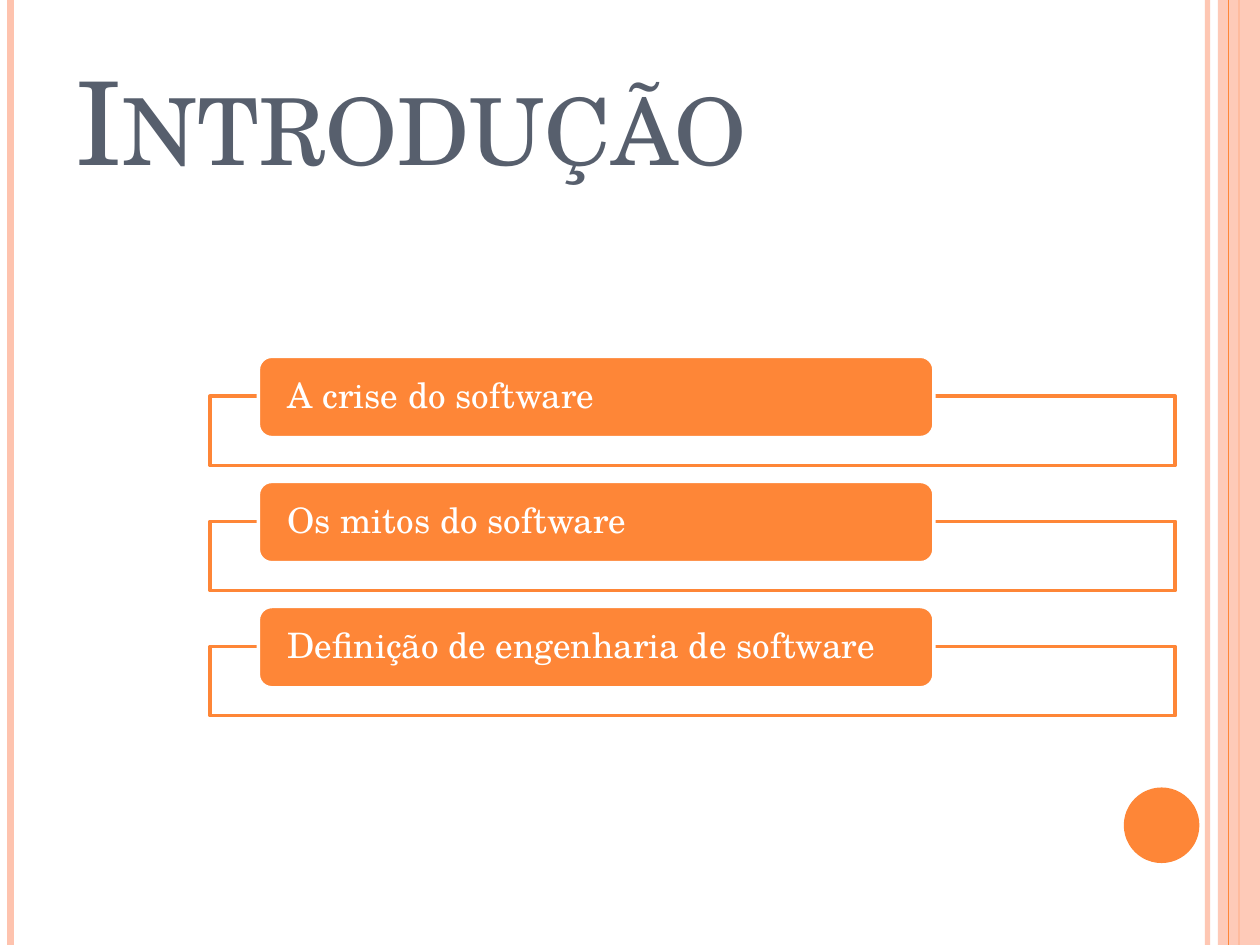
import pptx
import pptx.dml.color
import pptx.enum.shapes
import pptx.enum.text
import pptx.oxml.ns
import pptx.util
from lxml import etree

Pt = pptx.util.Pt
RGBColor = pptx.dml.color.RGBColor
Shape = pptx.enum.shapes.MSO_SHAPE
Anchor = pptx.enum.text.MSO_ANCHOR
qn = pptx.oxml.ns.qn

ORANGE = RGBColor(0xFE, 0x86, 0x37)
PEACH = RGBColor(0xFE, 0xC3, 0xAE)
SLATE = RGBColor(0x57, 0x5F, 0x6D)
WHITE = RGBColor(0xFF, 0xFF, 0xFF)
FONT = "TeX Gyre Schola"
WIDTH, HEIGHT = 720, 540
TOPICS = [
    "A crise do software",
    "Os mitos do software",
    "Definição de engenharia de software",
]


def set_alpha(color_parent, percent):
    color = next(color_parent.iter(qn("a:srgbClr")))
    etree.SubElement(color, qn("a:alpha"), val=str(percent * 1000))


def add_box(slide, kind, box, fill, line=None, line_width=2, opacity=100):
    shape = slide.shapes.add_shape(kind, *[Pt(length) for length in box])
    shape.shadow.inherit = False
    shape.fill.solid()
    shape.fill.fore_color.rgb = fill
    if opacity < 100:
        set_alpha(shape._element.spPr.find(qn("a:solidFill")), opacity)
    if line is None:
        shape.line.fill.background()
    else:
        shape.line.color.rgb = line
        shape.line.width = Pt(line_width)
    return shape


def add_stripe(slide, x, top, height, color, width, opacity=100):
    stripe = slide.shapes.add_connector(
        pptx.enum.shapes.MSO_CONNECTOR.STRAIGHT, Pt(x), Pt(top), Pt(x), Pt(top + height)
    )
    stripe.line.color.rgb = color
    stripe.line.width = Pt(width)
    if opacity < 100:
        set_alpha(stripe._element.spPr.find(qn("a:ln")), opacity)
    etree.SubElement(stripe._element.spPr, qn("a:effectLst"))


def write_text(shape, text, size, color, anchor, margins, line_spacing=1.0, small_caps=False):
    frame = shape.text_frame
    frame.word_wrap = True
    frame.vertical_anchor = anchor
    frame.margin_left = frame.margin_right = Pt(margins[0])
    frame.margin_top = frame.margin_bottom = Pt(margins[1])
    paragraph = frame.paragraphs[0]
    paragraph.alignment = pptx.enum.text.PP_ALIGN.LEFT
    paragraph.line_spacing = line_spacing
    run = paragraph.add_run()
    run.text = text
    run.font.name = FONT
    run.font.size = Pt(size)
    run.font.color.rgb = color
    if small_caps:
        run._r.get_or_add_rPr().set("cap", "small")


def add_frame_decoration(slide, left, top, width, height):
    right = left + width
    add_stripe(slide, right - 30, top, height, PEACH, 3, opacity=93)
    add_stripe(slide, left + 6, top, height, PEACH, 4.5)
    add_stripe(slide, right - 12, top, height, ORANGE, 1.5)
    add_box(slide, Shape.RECTANGLE, (right - 24, top, 24, height), PEACH, opacity=87)
    add_stripe(slide, right - 18, top, height, ORANGE, 0.75)
    add_box(slide, Shape.OVAL, (right - 77.8, top + 450, 43.2, 43.2), ORANGE)


def add_title(slide, text, left, top, width, height):
    title = slide.shapes.title
    title.left, title.top, title.width, title.height = map(Pt, (left, top, width, height))
    write_text(title, text, 66, SLATE, Anchor.BOTTOM, (7.2, 3.6), small_caps=True)


def add_topic_list(slide, topics, left, top, width, height):
    label_height, frame_offset, frame_height = 46.5, 22.8, 39.6
    pitch = (height - frame_offset - frame_height) / (len(topics) - 1)
    for index, topic in enumerate(topics):
        y = top + index * pitch
        add_box(slide, Shape.RECTANGLE, (left, y + frame_offset, width, frame_height),
                WHITE, line=ORANGE, opacity=90)
        label = add_box(slide, Shape.ROUNDED_RECTANGLE,
                        (left + 27.6, y, width * 0.7, label_height), ORANGE, line=WHITE)
        write_text(label, topic, 20, WHITE, Anchor.MIDDLE, (14.4, 0), line_spacing=0.9)


def main():
    presentation = pptx.Presentation()
    presentation.slide_width, presentation.slide_height = Pt(WIDTH), Pt(HEIGHT)
    slide = presentation.slides.add_slide(presentation.slide_layouts[5])
    add_frame_decoration(slide, 0, 0, WIDTH, HEIGHT)
    add_title(slide, "Introdução", 36, 21.6, 588, 90)
    add_topic_list(slide, TOPICS, 120, 203.6, 551.6, 205.4)
    presentation.save("out.pptx")


if __name__ == "__main__":
    main()
